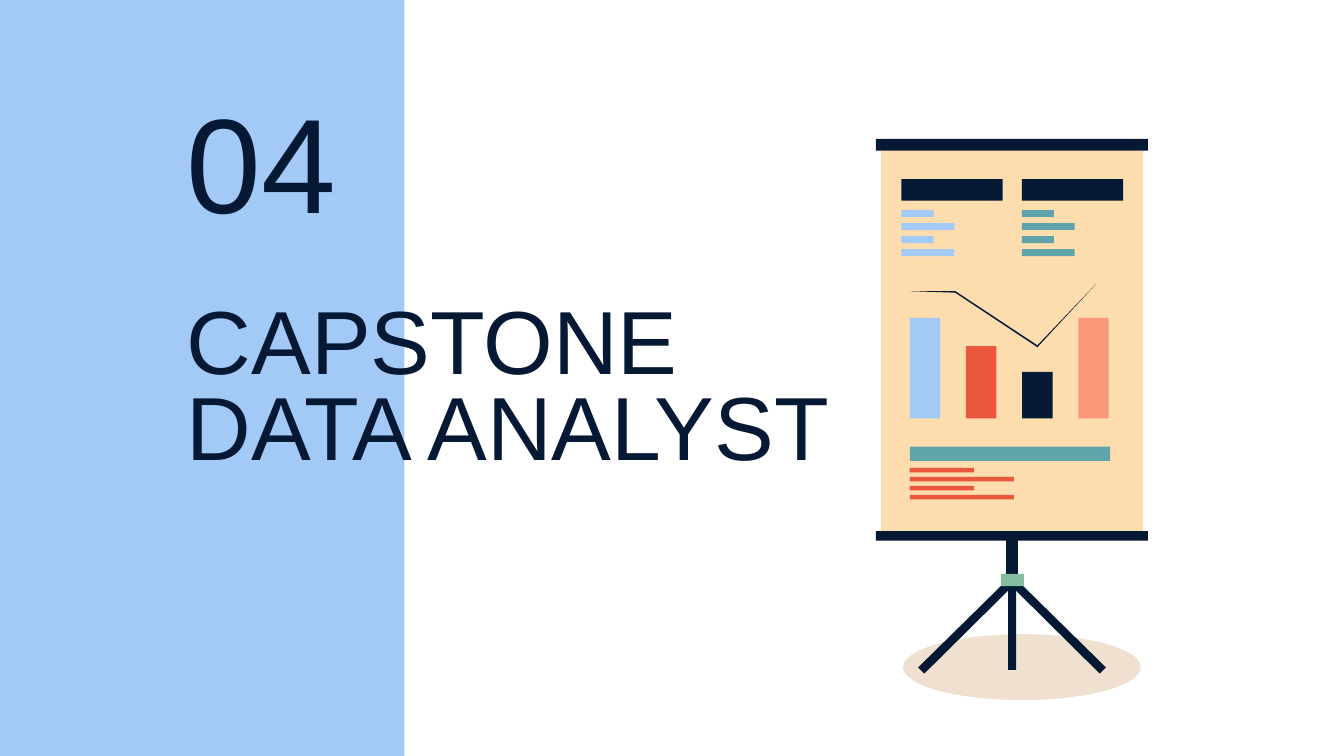
import pptx
import pptx.util
import pptx.dml.color
import pptx.enum.shapes
import pptx.enum.text
import pptx.oxml

Pt = pptx.util.Pt
SHAPE = pptx.enum.shapes.MSO_SHAPE
ANCHOR = pptx.enum.text.MSO_ANCHOR
COLORS = {
    "navy": "051934", "blue": "A3CAF7", "sand": "FDDCAE", "teal": "5FA4AB",
    "green": "85BCA2", "red": "EB573D", "coral": "FA9778", "shadow": "B45F06",
}


def paint(shape, color):
    shape.shadow.inherit = False
    shape.fill.solid()
    shape.fill.fore_color.rgb = pptx.dml.color.RGBColor.from_string(COLORS[color])
    shape.line.fill.background()


def write(box, lines, size, spacing, anchor):
    frame = box.text_frame
    frame.word_wrap = True
    frame.auto_size = pptx.enum.text.MSO_AUTO_SIZE.NONE
    frame.vertical_anchor = anchor
    frame.margin_left = frame.margin_right = Pt(7.2)
    frame.margin_top = frame.margin_bottom = Pt(7.2)
    for index, line in enumerate(lines):
        para = frame.add_paragraph() if index else frame.paragraphs[0]
        para.alignment = pptx.enum.text.PP_ALIGN.LEFT
        para.line_spacing = spacing
        para.space_before = Pt(0)
        span = para.add_run()
        span.text = line
        span.font.name = "Arial"
        span.font.size = Pt(size)
        span.font.color.rgb = pptx.dml.color.RGBColor.from_string(COLORS["navy"])


deck = pptx.Presentation()
deck.slide_width, deck.slide_height = Pt(720), Pt(405)
page = deck.slides.add_slide(deck.slide_layouts[5])

title = page.shapes.title
title.left, title.top, title.width, title.height = Pt(92.9), Pt(141.8), Pt(374.4), Pt(136.1)
write(title, ["CAPSTONE", "DATA ANALYST"], 48, 0.8, ANCHOR.MIDDLE)

panel = page.shapes.add_shape(SHAPE.RECTANGLE, Pt(-1.5), Pt(-1.5), Pt(218.2), Pt(407))
paint(panel, "blue")
title.element.addprevious(panel.element)

number = page.shapes.add_textbox(Pt(92.9), Pt(74.2), Pt(198), Pt(61.9))
write(number, ["04"], 72, 1.0, ANCHOR.BOTTOM)

floor = page.shapes.add_shape(SHAPE.OVAL, Pt(483.8), Pt(339.8), Pt(127.4), Pt(35.3))
paint(floor, "shadow")
tint = floor.fill._xPr.find(".//" + pptx.oxml.ns.qn("a:srgbClr"))
tint.append(pptx.oxml.parse_xml(
    '<a:alpha xmlns:a="http://schemas.openxmlformats.org/drawingml/2006/main" val="19000"/>'))

easel = page.shapes.add_group_shape()
center = 542.2
left_leg = [(540.7, 309.6), (491.9, 357.6), (495.2, 360.9), (544, 312.6)]
right_leg = [(2 * center - x, y) for x, y in left_leg]
trend = [(587.4, 151.9), (555.8, 185), (511.9, 156), (487.4, 156),
         (511.7, 156.8), (555.8, 186)]

for leg in (left_leg, right_leg):
    builder = easel.shapes.build_freeform(Pt(leg[0][0]), Pt(leg[0][1]))
    builder.add_line_segments([(Pt(x), Pt(y)) for x, y in leg[1:]])
    paint(builder.convert_to_shape(), "navy")

blocks = [
    (540, 304, 4.4, 55, "navy"),
    (539, 284.5, 6.4, 29.5, "navy"),
    (536.2, 307.5, 12.4, 6.5, "green"),
    (472, 80.8, 140.4, 203.7, "sand"),
    (469.3, 284.5, 145.7, 5.2, "navy"),
    (469.3, 74.4, 145.7, 6.4, "navy"),
]
for left, color in ((482.9, "blue"), (547.4, "teal")):
    blocks.append((left, 96, 54.3, 11.5, "navy"))
    for row in range(4):
        blocks.append((left, 112.5 + 7 * row, (17.3, 28.4)[row % 2], 3.7, color))

blocks.append((487.4, 239.3, 107.3, 7.6, "teal"))
for row in range(4):
    blocks.append((487.4, 250.7 + 4.8 * row, (34.4, 55.8)[row % 2], 2.4, "red"))

base = 224.2
for column, (height, color) in enumerate(
        [(53.8, "blue"), (38.8, "red"), (24.9, "navy"), (53.8, "coral")]):
    blocks.append((487.4 + 30.1 * column, base - height, 16.3, height, color))

for left, top, width, height, color in blocks:
    block = easel.shapes.add_shape(SHAPE.RECTANGLE, Pt(left), Pt(top), Pt(width), Pt(height))
    paint(block, color)

builder = easel.shapes.build_freeform(Pt(trend[0][0]), Pt(trend[0][1]))
builder.add_line_segments([(Pt(x), Pt(y)) for x, y in trend[1:]])
paint(builder.convert_to_shape(), "navy")

deck.save("out.pptx")
